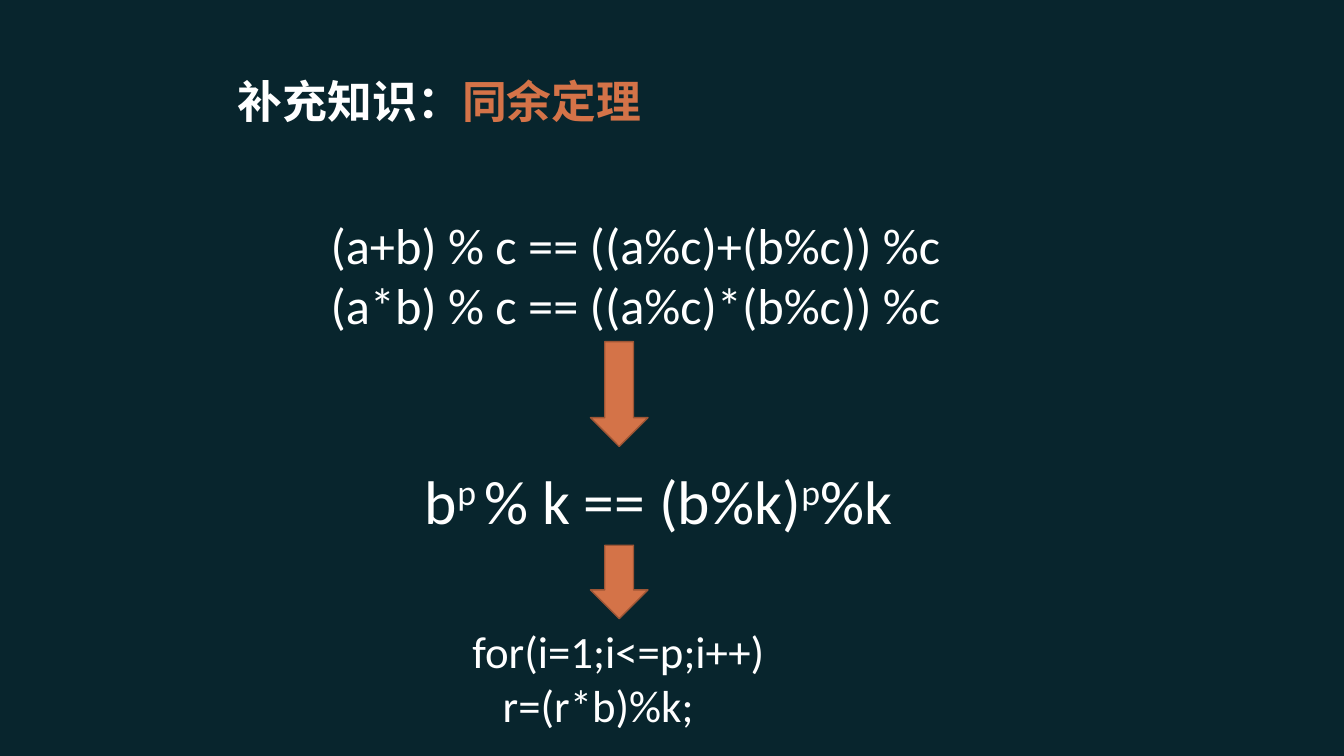
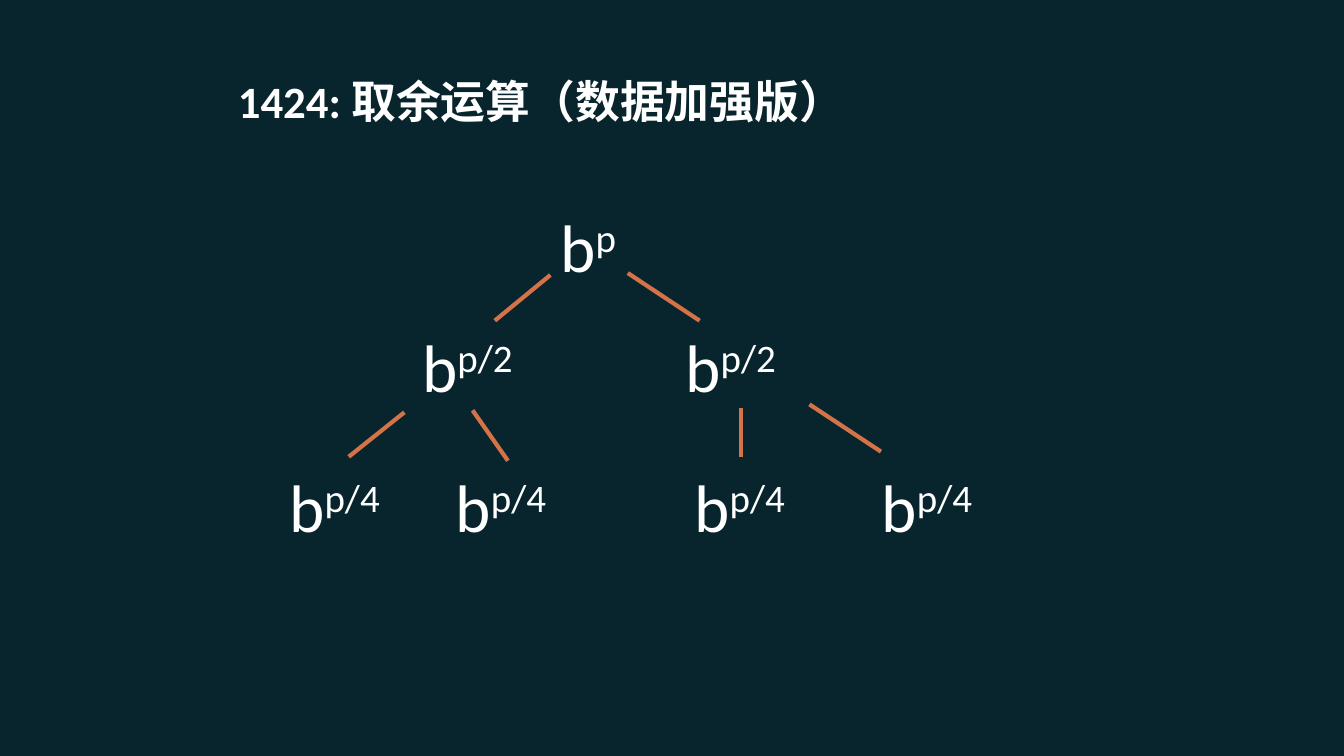
from pptx import Presentation
from pptx.dml.color import RGBColor
from pptx.enum.shapes import MSO_CONNECTOR as CONN, MSO_SHAPE as SHAPE
from pptx.enum.text import MSO_ANCHOR as ANCHOR, MSO_AUTO_SIZE as AUTO, PP_ALIGN as ALIGN
from pptx.oxml.ns import qn
from pptx.util import Cm, Pt
from lxml import etree

NIGHT = RGBColor(0x08, 0x25, 0x2D)
WHITE = RGBColor(0xFF, 0xFF, 0xFF)
ORANGE = RGBColor(0xD4, 0x73, 0x48)
RUST = RGBColor(0x9D, 0x55, 0x35)
FONT = "Calibri"


class Deck:
    def __init__(self):
        self.prs = Presentation()
        self.prs.slide_width, self.prs.slide_height = Cm(33.87), Cm(19.05)
        fill = self.prs.slide_master.background.fill
        fill.solid()
        fill.fore_color.rgb = NIGHT
        self.s = None

    def run(self, p, text, size, color=WHITE, bold=False, raised=False):
        r = p.add_run()
        r.text = text
        r.font.name, r.font.size, r.font.bold = FONT, Pt(size), bold
        r.font.color.rgb = color
        if raised:
            r._r.get_or_add_rPr().set("baseline", "30000")

    def slide(self, *title):
        self.s = self.prs.slides.add_slide(self.prs.slide_layouts[5])
        sp = self.s.shapes.title
        sp.left, sp.top, sp.width, sp.height = Cm(5.74), Cm(1.52), Cm(20.19), Cm(2.01)
        tf = sp.text_frame
        tf.auto_size, tf.vertical_anchor = AUTO.NONE, ANCHOR.MIDDLE
        p = tf.paragraphs[0]
        p.alignment = ALIGN.LEFT
        for text, color in title:
            self.run(p, text, 32, color, bold=True)

    def paragraphs(self, x, y, w, h, size, *lines):
        tf = self.s.shapes.add_textbox(Cm(x), Cm(y), Cm(w), Cm(h)).text_frame
        tf.word_wrap = True
        for i, line in enumerate(lines):
            p = tf.add_paragraph() if i else tf.paragraphs[0]
            for j, text in enumerate(line):
                self.run(p, text, size, raised=j % 2 == 1)

    def arrow(self, y, h):
        sp = self.s.shapes.add_shape(SHAPE.DOWN_ARROW, Cm(14.88), Cm(y), Cm(1.45), Cm(h))
        sp.shadow.inherit = False
        sp.fill.solid()
        sp.fill.fore_color.rgb = ORANGE
        sp.line.color.rgb, sp.line.width = RUST, Pt(1)

    def node(self, x, y, power):
        self.paragraphs(x, y, 3.3, 2.31, 48, ("b", power))

    def branch(self, x1, y1, x2, y2):
        c = self.s.shapes.add_connector(CONN.STRAIGHT, Cm(x1), Cm(y1), Cm(x2), Cm(y2))
        c.line.color.rgb, c.line.width = ORANGE, Pt(3)
        etree.SubElement(c._element.spPr, qn("a:effectLst"))


def main():
    d = Deck()

    d.slide(("补充知识：", WHITE), ("同余定理", ORANGE))
    d.paragraphs(8.08, 5.26, 17.86, 3.33, 36,
                 ("(a+b) % c == ((a%c)+(b%c)) %c",),
                 ("(a*b) % c == ((a%c)*(b%c)) %c",))
    d.arrow(8.61, 2.64)
    d.paragraphs(10.46, 11.53, 13, 2.13, 44, ("b", "p ", "% k == (b%k)", "p", "%k"))
    d.arrow(13.74, 1.85)
    d.paragraphs(11.4, 15.6, 9.8, 3, 32, (" for(i=1;i<=p;i++)",), ("    r=(r*b)%k;",))

    d.slide(("1424: 取余运算（数据加强版）", WHITE))
    levels = (
        (5.05, "p", (13.87,)),
        (8.08, "p/2", (10.39, 17.02)),
        (11.61, "p/4", (7.04, 11.23, 17.25, 21.97)),
    )
    for y, power, lefts in levels:
        for x in lefts:
            d.node(x, y, power)
    branches = (
        (13.87, 6.93, 12.47, 8.08),
        (15.82, 6.88, 17.63, 8.08),
        (10.19, 10.39, 8.79, 11.51),
        (11.91, 10.34, 12.8, 11.61),
        (18.67, 10.29, 18.67, 11.51),
        (20.4, 10.19, 22.2, 11.38),
    )
    for ends in branches:
        d.branch(*ends)

    d.prs.save("out.pptx")


if __name__ == "__main__":
    main()
